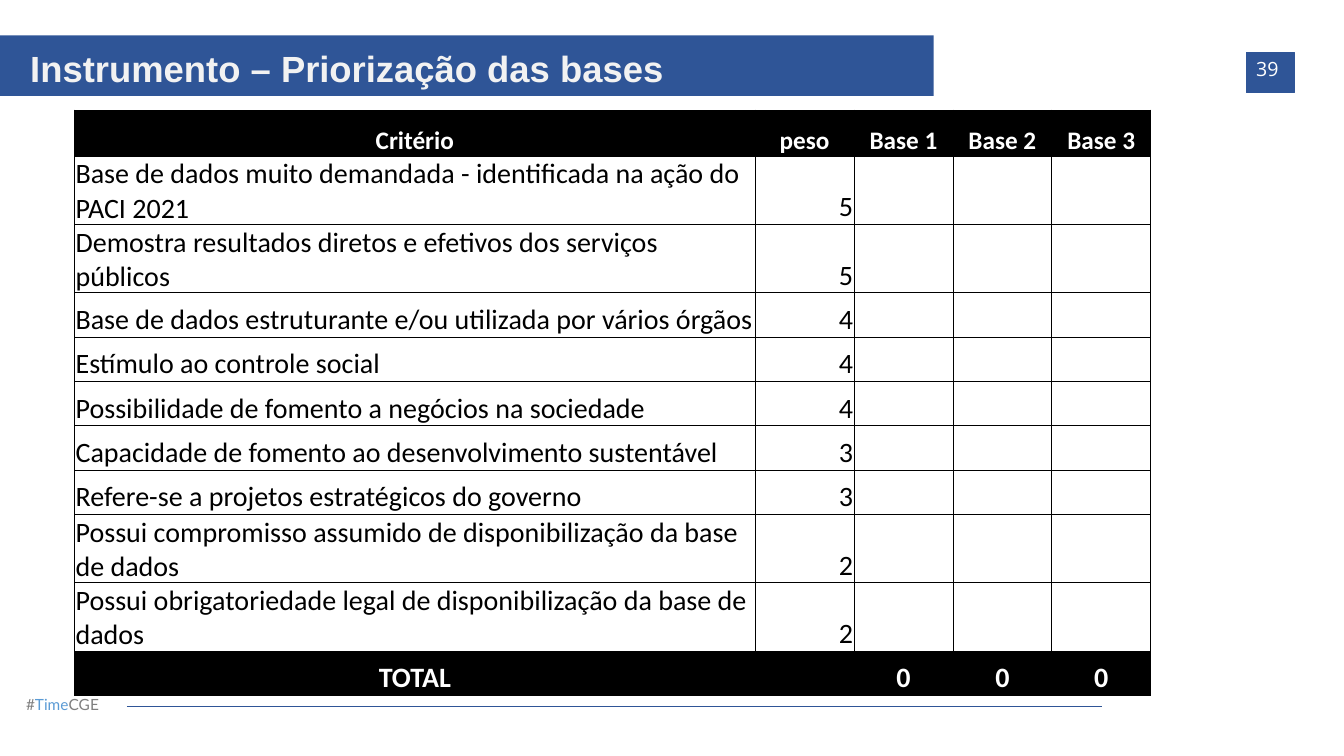
from dataclasses import dataclass

from lxml.etree import SubElement
from pptx import Presentation
from pptx.dml.color import RGBColor
from pptx.enum.shapes import MSO_CONNECTOR, MSO_SHAPE
from pptx.enum.text import MSO_ANCHOR, MSO_AUTO_SIZE, PP_ALIGN
from pptx.oxml import parse_xml
from pptx.oxml.ns import nsdecls, qn
from pptx.slide import Slide
from pptx.table import Table, _Cell
from pptx.util import Inches, Length, Pt

SLIDE_WIDTH, SLIDE_HEIGHT = Inches(13.33), Inches(7.5)
COLORS = {
    "navy": "2F5597",
    "sky": "5B9BD5",
    "gray": "7F7F7F",
    "pale": "F2F2F2",
    "white": "FFFFFF",
    "black": "000000",
}


@dataclass(frozen=True)
class Area:
    """A rectangle in percent of the slide's width and height."""
    left: float
    top: float
    width: float
    height: float

    def box(self) -> tuple[Length, Length, Length, Length]:
        return across(self.left), down(self.top), across(self.width), down(self.height)


@dataclass(frozen=True)
class TextStyle:
    font: str
    size: int
    color: str
    bold: bool = False


@dataclass(frozen=True)
class Criterion:
    name: str
    weight: int
    height: float


ONE_LINE, TWO_LINES, HEADER_HEIGHT = 5.87, 8.8, 6.13
COLUMN_WIDTHS = [50.64] + [7.36] * 4
TABLE_LEFT, TABLE_TOP = 5.55, 14.53
HEADINGS = ["Critério", "peso", "Base 1", "Base 2", "Base 3"]
CRITERIA = [
    Criterion("Base de dados muito demandada - identificada na ação do PACI 2021", 5, TWO_LINES),
    Criterion("Demostra resultados diretos e efetivos dos serviços públicos", 5, TWO_LINES),
    Criterion("Base de dados estruturante e/ou utilizada por vários órgãos", 4, ONE_LINE),
    Criterion("Estímulo ao controle social", 4, ONE_LINE),
    Criterion("Possibilidade de fomento a negócios na sociedade", 4, ONE_LINE),
    Criterion("Capacidade de fomento ao desenvolvimento sustentável", 3, ONE_LINE),
    Criterion("Refere-se a projetos estratégicos do governo", 3, ONE_LINE),
    Criterion("Possui compromisso assumido de disponibilização da base de dados", 2, TWO_LINES),
    Criterion("Possui obrigatoriedade legal de disponibilização da base de dados", 2, TWO_LINES),
]
TOTALS = ["TOTAL", "", "0", "0", "0"]

HEADING_STYLE = TextStyle("Calibri", 18, "white", True)
CRITERION_STYLE = TextStyle("Calibri", 20, "black")
TOTAL_STYLE = TextStyle("Calibri", 20, "white", True)


def across(percent: float) -> Length:
    return Length(round(SLIDE_WIDTH * percent / 100))


def down(percent: float) -> Length:
    return Length(round(SLIDE_HEIGHT * percent / 100))


def rgb(color: str) -> RGBColor:
    return RGBColor.from_string(COLORS[color])


def style_run(run, style: TextStyle) -> None:
    run.font.name = style.font
    run.font.size = Pt(style.size)
    run.font.bold = style.bold
    run.font.color.rgb = rgb(style.color)


def add_heading(slide: Slide) -> None:
    heading = slide.shapes.title
    heading.left, heading.top, heading.width, heading.height = Area(0, 4.67, 69.47, 8).box()
    heading.fill.solid()
    heading.fill.fore_color.rgb = rgb("navy")
    frame = heading.text_frame
    frame.text = "Instrumento – Priorização das bases"
    frame.auto_size = MSO_AUTO_SIZE.NONE
    frame.word_wrap = True
    frame.vertical_anchor = MSO_ANCHOR.BOTTOM
    frame.margin_left = Inches(0.3)
    paragraph = frame.paragraphs[0]
    paragraph.alignment = PP_ALIGN.LEFT
    paragraph.line_spacing = 0.9
    style_run(paragraph.runs[0], TextStyle("Arial", 26, "pale", True))


def add_page_number(slide: Slide) -> None:
    badge = slide.shapes.add_shape(MSO_SHAPE.RECTANGLE, *Area(92.72, 6.93, 3.6, 5.33).box())
    badge.shadow.inherit = False
    badge.fill.solid()
    badge.fill.fore_color.rgb = rgb("navy")
    badge.line.color.rgb = rgb("navy")
    badge.line.width = Pt(0.75)
    frame = badge.text_frame
    frame.text = "39"
    frame.vertical_anchor = MSO_ANCHOR.TOP
    paragraph = frame.paragraphs[0]
    paragraph.alignment = PP_ALIGN.LEFT
    style_run(paragraph.runs[0], TextStyle("Open Sans", 14, "white"))


def add_footer(slide: Slide) -> None:
    hashtag = slide.shapes.add_textbox(*Area(1.2, 91.33, 7.95, 3.87).box())
    hashtag.text_frame.word_wrap = True
    hashtag.text_frame.auto_size = MSO_AUTO_SIZE.SHAPE_TO_FIT_TEXT
    paragraph = hashtag.text_frame.paragraphs[0]
    for part, color in (("#", "gray"), ("Time", "sky"), ("CGE", "gray")):
        run = paragraph.add_run()
        run.text = part
        style_run(run, TextStyle("Lato", 11, color))

    height = down(93.47)
    rule = slide.shapes.add_connector(
        MSO_CONNECTOR.STRAIGHT, across(9.45), height, across(82), height)
    rule.line.color.rgb = rgb("navy")
    rule.line.width = Pt(0.75)
    SubElement(rule._element.spPr, qn("a:effectLst"))


def add_borders(cell: _Cell) -> None:
    properties = cell._tc.get_or_add_tcPr()
    for position, side in enumerate(("lnL", "lnR", "lnT", "lnB")):
        properties.insert(position, parse_xml(
            f'<a:{side} {nsdecls("a")} w="{Pt(0.5)}"><a:solidFill>'
            f'<a:srgbClr val="{COLORS["black"]}"/></a:solidFill></a:{side}>'))


def fill_row(table: Table, row: int, texts: list[str], style: TextStyle,
             background: str, alignments: list[PP_ALIGN]) -> None:
    for column, (text, alignment) in enumerate(zip(texts, alignments)):
        cell = table.cell(row, column)
        cell.fill.solid()
        cell.fill.fore_color.rgb = rgb(background)
        cell.margin_left = cell.margin_right = cell.margin_top = Inches(0.01)
        cell.margin_bottom = 0
        cell.vertical_anchor = MSO_ANCHOR.BOTTOM
        add_borders(cell)
        paragraph = cell.text_frame.paragraphs[0]
        paragraph.text = text
        paragraph.alignment = alignment
        for run in paragraph.runs:
            style_run(run, style)


def add_criteria_table(slide: Slide) -> None:
    heights = [HEADER_HEIGHT, *(criterion.height for criterion in CRITERIA), ONE_LINE]
    area = Area(TABLE_LEFT, TABLE_TOP, sum(COLUMN_WIDTHS), sum(heights))
    table = slide.shapes.add_table(len(heights), len(COLUMN_WIDTHS), *area.box()).table
    table.horz_banding = False
    for column, width in zip(table.columns, COLUMN_WIDTHS):
        column.width = across(width)
    for row, height in zip(table.rows, heights):
        row.height = down(height)

    centered = [PP_ALIGN.CENTER] * len(HEADINGS)
    criterion_alignments = [PP_ALIGN.LEFT, PP_ALIGN.RIGHT, *centered[2:]]
    fill_row(table, 0, HEADINGS, HEADING_STYLE, "black", centered)
    for row, criterion in enumerate(CRITERIA, start=1):
        texts = [criterion.name, str(criterion.weight), "", "", ""]
        fill_row(table, row, texts, CRITERION_STYLE, "white", criterion_alignments)
    fill_row(table, len(heights) - 1, TOTALS, TOTAL_STYLE, "black", centered)


def main() -> None:
    presentation = Presentation()
    presentation.slide_width, presentation.slide_height = SLIDE_WIDTH, SLIDE_HEIGHT
    slide = presentation.slides.add_slide(presentation.slide_layouts[5])
    add_footer(slide)
    add_heading(slide)
    add_page_number(slide)
    add_criteria_table(slide)
    presentation.save("out.pptx")


if __name__ == "__main__":
    main()
